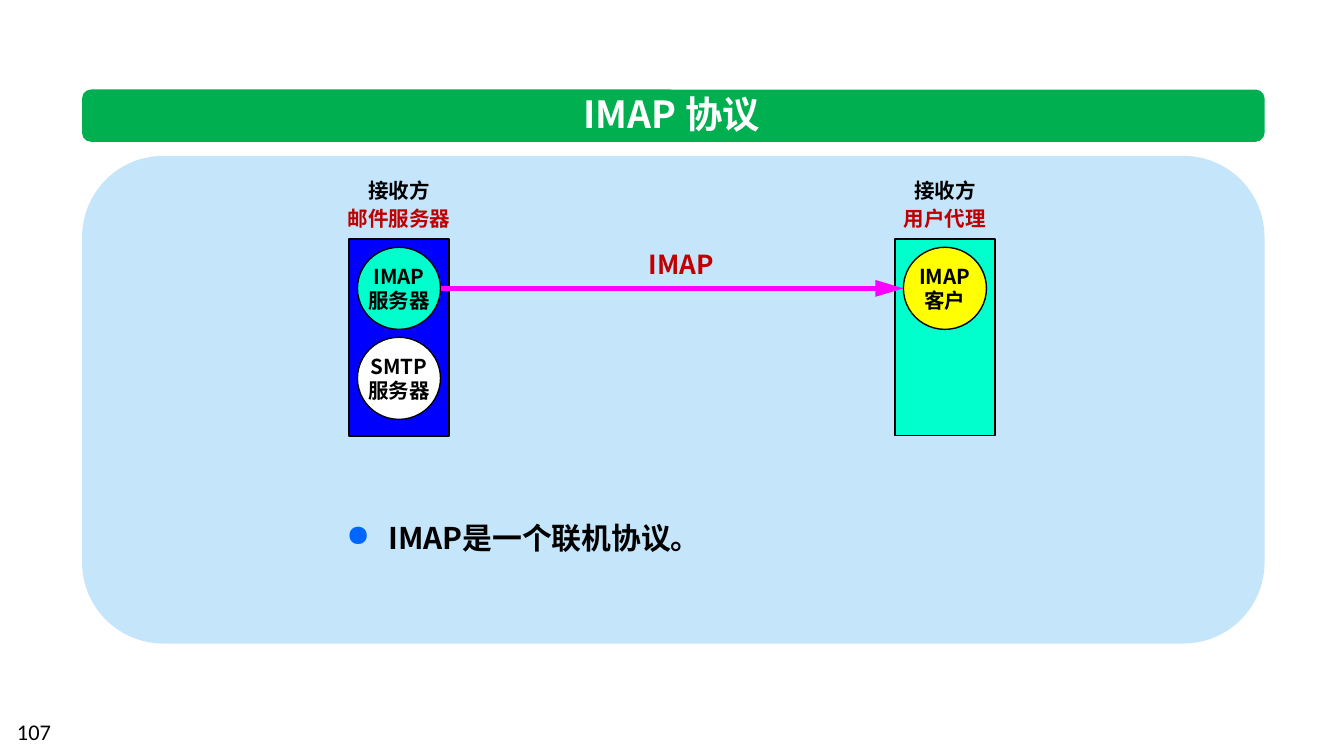
from lxml import etree
from pptx import Presentation
from pptx.dml.color import RGBColor
from pptx.enum import shapes, text
from pptx.oxml import ns
from pptx.util import Pt

BLACK = RGBColor(0x00, 0x00, 0x00)
WHITE = RGBColor(0xFF, 0xFF, 0xFF)
RED = RGBColor(0xC0, 0x00, 0x00)
GREEN = RGBColor(0x00, 0xB0, 0x50)
PALE_BLUE = RGBColor(0xC5, 0xE5, 0xFB)
BLUE = RGBColor(0x00, 0x00, 0xFF)
AQUA = RGBColor(0x00, 0xFF, 0xCC)
YELLOW = RGBColor(0xFF, 0xFF, 0x00)
MAGENTA = RGBColor(0xFF, 0x00, 0xFF)
CJK_FONT = "Noto Sans CJK SC"

presentation = Presentation()
presentation.slide_width, presentation.slide_height = Pt(720), Pt(405)
slide = presentation.slides.add_slide(presentation.slide_layouts[6])


def add_shape(kind, left, top, width, height, fill, line_width=0):
    shape = slide.shapes.add_shape(kind, Pt(left), Pt(top), Pt(width), Pt(height))
    shape.shadow.inherit = False
    shape.fill.solid()
    shape.fill.fore_color.rgb = fill
    if line_width:
        shape.line.color.rgb = BLACK
        shape.line.width = Pt(line_width)
    else:
        shape.line.fill.background()
    return shape


def write_text(lines, shape=None, box=None, size=11, colors=(BLACK,), font=CJK_FONT,
               bold=True, align=text.PP_ALIGN.CENTER, anchor=text.MSO_ANCHOR.MIDDLE,
               spacing=None, wrap=False):
    """Write one paragraph per line into a shape, or into a new text box at box.

    The last of the colors applies to any further lines.
    """
    if shape is None:
        shape = slide.shapes.add_textbox(*map(Pt, box))
    frame = shape.text_frame
    frame.word_wrap = wrap
    frame.vertical_anchor = anchor
    for index, line in enumerate(lines):
        paragraph = frame.add_paragraph() if index else frame.paragraphs[0]
        paragraph.alignment = align
        if spacing:
            paragraph.line_spacing = Pt(spacing)
        run = paragraph.add_run()
        run.text = line
        run.font.size, run.font.bold, run.font.name = Pt(size), bold, font
        run.font.color.rgb = colors[min(index, len(colors) - 1)]
        east_asian = etree.SubElement(run.font._element, ns.qn("a:ea"))
        east_asian.set("typeface", font)
    return frame


# Content panel
add_shape(shapes.MSO_SHAPE.ROUNDED_RECTANGLE, 44, 83.5, 633.5, 261.3, PALE_BLUE)

# Hosts, each with its heading and the processes it runs
hosts = [
    (479.5, "用户代理", 59, AQUA, 0.75, [("IMAP", "客户", YELLOW)]),
    (187, "邮件服务器", 70, BLUE, 1,
     [("IMAP", "服务器", AQUA), ("SMTP", "服务器", WHITE)]),
]
for left, role, heading_width, fill, line_width, processes in hosts:
    add_shape(shapes.MSO_SHAPE.RECTANGLE, left, 128, 53.5, 105.5, fill, line_width)
    center = left + 53.5 / 2
    write_text(["接收方", role], box=(center - heading_width / 2, 90, heading_width, 37.4),
               colors=(BLACK, RED), spacing=15)
    for row, (protocol, kind, color) in enumerate(processes):
        circle = add_shape(shapes.MSO_SHAPE.OVAL, center - 22.25, 132.5 + 48.2 * row,
                           44.5, 44, color, 0.75)
        write_text([protocol, kind], shape=circle, spacing=13)

# Protocol arrow
arrow = slide.shapes.add_connector(shapes.MSO_CONNECTOR.STRAIGHT,
                                   Pt(236), Pt(154.5), Pt(484), Pt(154.5))
arrow.line.color.rgb = MAGENTA
arrow.line.width = Pt(3)
arrow_head = etree.SubElement(arrow.line._get_or_add_ln(), ns.qn("a:tailEnd"))
arrow_head.set("type", "triangle")
arrow_head.set("len", "lg")
etree.SubElement(arrow._element.spPr, ns.qn("a:effectLst"))
write_text(["IMAP"], box=(338, 131.5, 54, 22.2), size=14, colors=(RED,), spacing=15)

# Bulleted statement
statement = write_text(["IMAP是一个联机协议。"], box=(178.5, 270.5, 411, 30), size=16,
                       align=text.PP_ALIGN.LEFT, spacing=24, wrap=True)
properties = statement.paragraphs[0]._p.get_or_add_pPr()
properties.set("marL", str(Pt(22.5)))
properties.set("indent", str(Pt(-22.5)))
bullet_color = etree.SubElement(properties, ns.qn("a:buClr"))
etree.SubElement(bullet_color, ns.qn("a:srgbClr")).set("val", "0066FF")
etree.SubElement(properties, ns.qn("a:buChar")).set("char", "●")

# Title bar and page number
title_bar = add_shape(shapes.MSO_SHAPE.ROUNDED_RECTANGLE, 44, 48, 633.5, 28, GREEN)
title_bar.adjustments[0] = 0.17
write_text(["IMAP 协议"], box=(301, 45.5, 117.5, 31.5), size=20, colors=(WHITE,),
           anchor=text.MSO_ANCHOR.TOP)
write_text(["107"], box=(2, 381, 168, 21.6), size=12, font="Calibri", bold=False,
           align=text.PP_ALIGN.LEFT, anchor=text.MSO_ANCHOR.TOP, wrap=True)

presentation.save("out.pptx")
